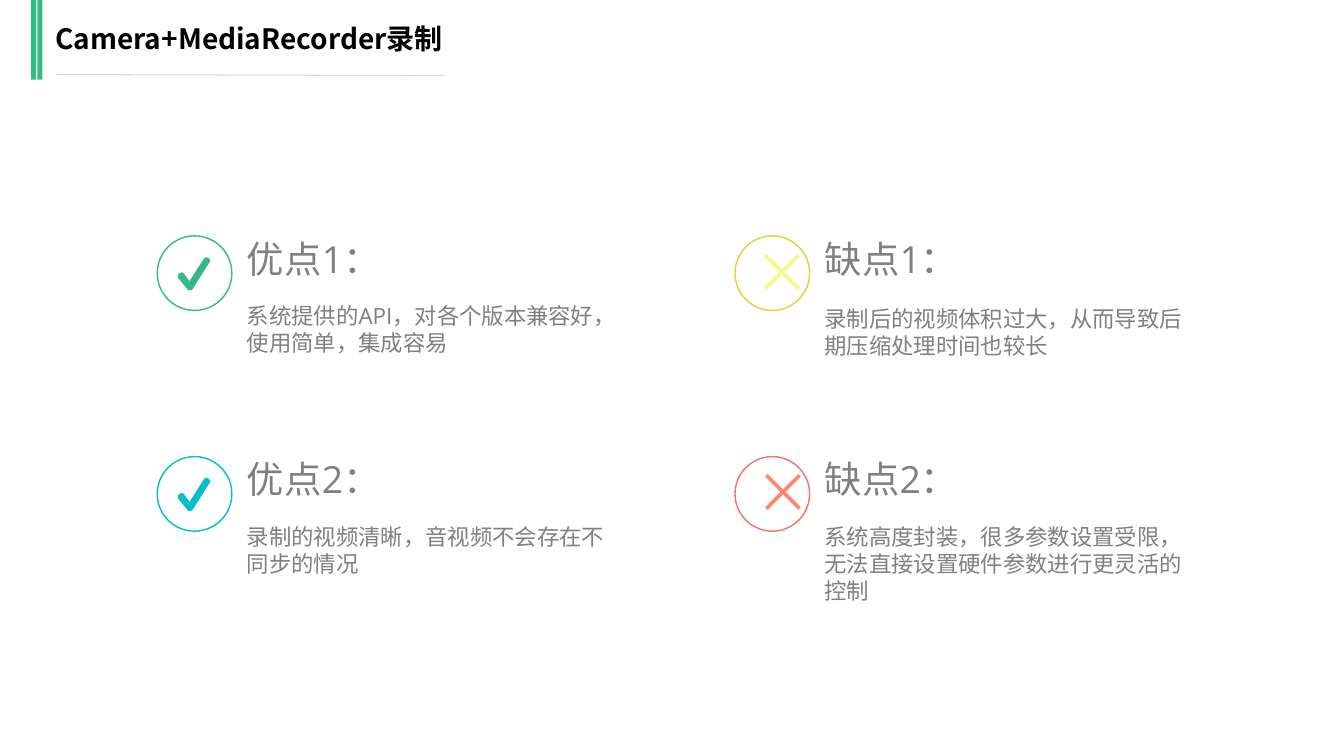
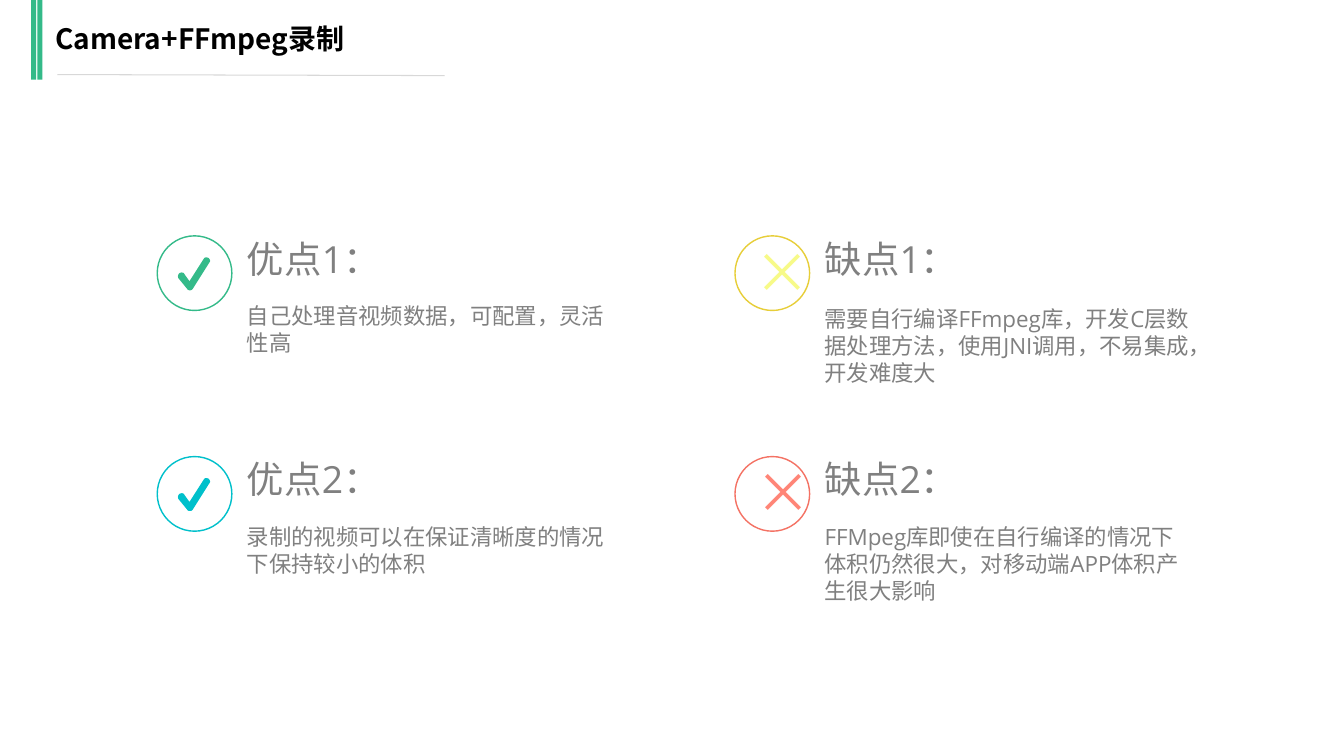
from dataclasses import dataclass
from typing import Optional

from lxml.etree import SubElement
from pptx import Presentation
from pptx.dml.color import RGBColor
from pptx.enum.shapes import MSO_CONNECTOR, MSO_SHAPE
from pptx.enum.text import MSO_AUTO_SIZE
from pptx.oxml.ns import qn
from pptx.util import Inches, Pt

GREEN = RGBColor(0x34, 0xBA, 0x89)
CYAN = RGBColor(0x00, 0xC0, 0xCB)
YELLOW = RGBColor(0xE7, 0xCE, 0x39)
PALE_YELLOW = RGBColor(0xF7, 0xFA, 0x88)
RED = RGBColor(0xF4, 0x72, 0x64)
PALE_RED = RGBColor(0xFF, 0x85, 0x77)
GREY = RGBColor(0x80, 0x80, 0x80)
RULE_GREY = RGBColor(0xD8, 0xD8, 0xD8)
BLACK = RGBColor(0x00, 0x00, 0x00)

LATIN_FONT = "Open Sans"
CHINESE_FONT = "Noto Sans CJK SC"
LINE_RATIO = 1.2
CIRCLE_SIZE = 0.74
LINE_HEIGHT = 0.27

# Check mark in inches from the circle's corner: an end point alone is a
# straight edge, three points are a Bézier curve.
CHECK_START = (0.33, 0.54)
CHECK_EDGES = [
    [(0.31, 0.54), (0.31, 0.54), (0.30, 0.53)],
    [(0.21, 0.42)],
    [(0.20, 0.40), (0.21, 0.38), (0.22, 0.37)],
    [(0.24, 0.36), (0.26, 0.36), (0.27, 0.38)],
    [(0.32, 0.45)],
    [(0.46, 0.23)],
    [(0.47, 0.21), (0.49, 0.21), (0.51, 0.22)],
    [(0.52, 0.23), (0.53, 0.25), (0.52, 0.26)],
    [(0.35, 0.53)],
    [(0.35, 0.53), (0.34, 0.54), (0.33, 0.54)],
]
CURVE_STEPS = 8


@dataclass(frozen=True)
class TextStyle:
    size: float
    font: str
    color: RGBColor
    bold: bool = False


@dataclass(frozen=True)
class Spot:
    """Place and colours of one point; a point without a cross gets a check."""

    heading: str
    left: float
    top: float
    color: RGBColor
    body_offset: float = 0.61
    cross_color: Optional[RGBColor] = None
    cross_offset: tuple[float, float] = (0, 0)


@dataclass(frozen=True)
class Point:
    body: str
    lines: int = 2


@dataclass(frozen=True)
class Page:
    title: str
    points: list[Point]


TITLE = TextStyle(20, CHINESE_FONT, BLACK, bold=True)
HEADING = TextStyle(26.7, LATIN_FONT, GREY)
BODY = TextStyle(16, LATIN_FONT, GREY)

SPOTS = [
    Spot("优点1：", 1.56, 2.34, GREEN),
    Spot("优点2：", 1.56, 4.53, CYAN),
    Spot("缺点1：", 7.29, 2.34, YELLOW, 0.64, PALE_YELLOW, (0.09, -0.03)),
    Spot("缺点2：", 7.29, 4.53, RED, 0.61, PALE_RED, (0.10, -0.04)),
]

PAGES = [
    Page("Camera+MediaRecorder录制", [
        Point("系统提供的API，对各个版本兼容好，使用简单，集成容易"),
        Point("录制的视频清晰，音视频不会存在不同步的情况"),
        Point("录制后的视频体积过大，从而导致后期压缩处理时间也较长"),
        Point("系统高度封装，很多参数设置受限，无法直接设置硬件参数进行更灵活的控制", 3),
    ]),
    Page("Camera+FFmpeg录制", [
        Point("自己处理音视频数据，可配置，灵活性高"),
        Point("录制的视频可以在保证清晰度的情况下保持较小的体积"),
        Point("需要自行编译FFmpeg库，开发C层数据处理方法，使用JNI调用，不易集成，开发难度大", 3),
        Point("FFMpeg库即使在自行编译的情况下体积仍然很大，对移动端APP体积产生很大影响", 3),
    ]),
]


def add_text(shapes, text: str, left: float, top: float, width: float,
             height: float, style: TextStyle, wrap: bool = True) -> None:
    box = shapes.add_textbox(Inches(left), Inches(top), Inches(width), Inches(height))
    text_frame = box.text_frame
    text_frame.word_wrap = wrap
    text_frame.auto_size = MSO_AUTO_SIZE.SHAPE_TO_FIT_TEXT
    text_frame.text = text
    paragraph = text_frame.paragraphs[0]
    paragraph.line_spacing = Pt(style.size * LINE_RATIO)
    run = paragraph.runs[0]
    run.font.size = Pt(style.size)
    run.font.name = style.font
    run.font.bold = style.bold
    run.font.color.rgb = style.color
    east_asian = SubElement(run.font._element, qn("a:ea"))
    east_asian.set("typeface", CHINESE_FONT)


def fill_plain(shape, color: RGBColor) -> None:
    shape.shadow.inherit = False
    shape.fill.solid()
    shape.fill.fore_color.rgb = color
    shape.line.fill.background()


def add_header(slide, title: str) -> None:
    bars = slide.shapes.add_group_shape()
    for left in (0.31, 0.37):
        bar = bars.shapes.add_shape(
            MSO_SHAPE.RECTANGLE, Inches(left), 0, Inches(0.05), Inches(0.79))
        fill_plain(bar, GREEN)
    add_text(slide.shapes, title, 0.45, 0.16, 4.23, 0.44, TITLE)
    rule = slide.shapes.add_connector(
        MSO_CONNECTOR.STRAIGHT, Inches(0.57), Inches(0.74), Inches(4.41), Inches(0.75))
    rule.line.color.rgb = RULE_GREY
    rule.line.width = Pt(0.75)
    SubElement(rule._element.spPr, qn("a:effectLst"))


def check_outline() -> list[tuple[float, float]]:
    """Return the check mark's vertices, with its curves sampled."""
    vertices = [CHECK_START]
    for edge in CHECK_EDGES:
        if len(edge) == 1:
            vertices.append(edge[0])
            continue
        controls = [vertices[-1], *edge]
        for step in range(1, CURVE_STEPS + 1):
            t = step / CURVE_STEPS
            weights = ((1 - t) ** 3, 3 * t * (1 - t) ** 2, 3 * t * t * (1 - t), t ** 3)
            x, y = (sum(weight * control[axis]
                        for weight, control in zip(weights, controls))
                    for axis in (0, 1))
            vertices.append((x, y))
    return vertices


def add_check(shapes, spot: Spot) -> None:
    vertices = [(Inches(spot.left + x), Inches(spot.top + y))
                for x, y in check_outline()]
    builder = shapes.build_freeform(*vertices[0], scale=1.0)
    builder.add_line_segments(vertices[1:], close=True)
    fill_plain(builder.convert_to_shape(), spot.color)


def add_point(slide, spot: Spot, point: Point) -> None:
    shapes = slide.shapes.add_group_shape().shapes
    circle = shapes.add_shape(
        MSO_SHAPE.OVAL, Inches(spot.left), Inches(spot.top),
        Inches(CIRCLE_SIZE), Inches(CIRCLE_SIZE))
    circle.shadow.inherit = False
    circle.fill.background()
    circle.line.color.rgb = spot.color
    circle.line.width = Pt(1)
    if spot.cross_color is None:
        add_check(shapes, spot)
    text_left = spot.left + 0.79
    add_text(shapes, spot.heading, text_left, spot.top - 0.05, 4.58, 0.55, HEADING)
    add_text(shapes, point.body, text_left, spot.top + spot.body_offset,
             3.85, 0.1 + point.lines * LINE_HEIGHT, BODY)


def add_cross(slide, spot: Spot) -> None:
    across, down = spot.cross_offset
    add_text(slide.shapes, "×", spot.left + across, spot.top + down, 0.58, 0.77,
             TextStyle(40, CHINESE_FONT, spot.cross_color), wrap=False)


def main() -> None:
    presentation = Presentation()
    presentation.slide_width = Inches(13.33)
    presentation.slide_height = Inches(7.5)
    blank_layout = presentation.slide_layouts[6]
    for page in PAGES:
        slide = presentation.slides.add_slide(blank_layout)
        for spot, point in zip(SPOTS, page.points):
            add_point(slide, spot, point)
        add_header(slide, page.title)
        for spot in SPOTS:
            if spot.cross_color is not None:
                add_cross(slide, spot)
    presentation.save("out.pptx")


if __name__ == "__main__":
    main()
